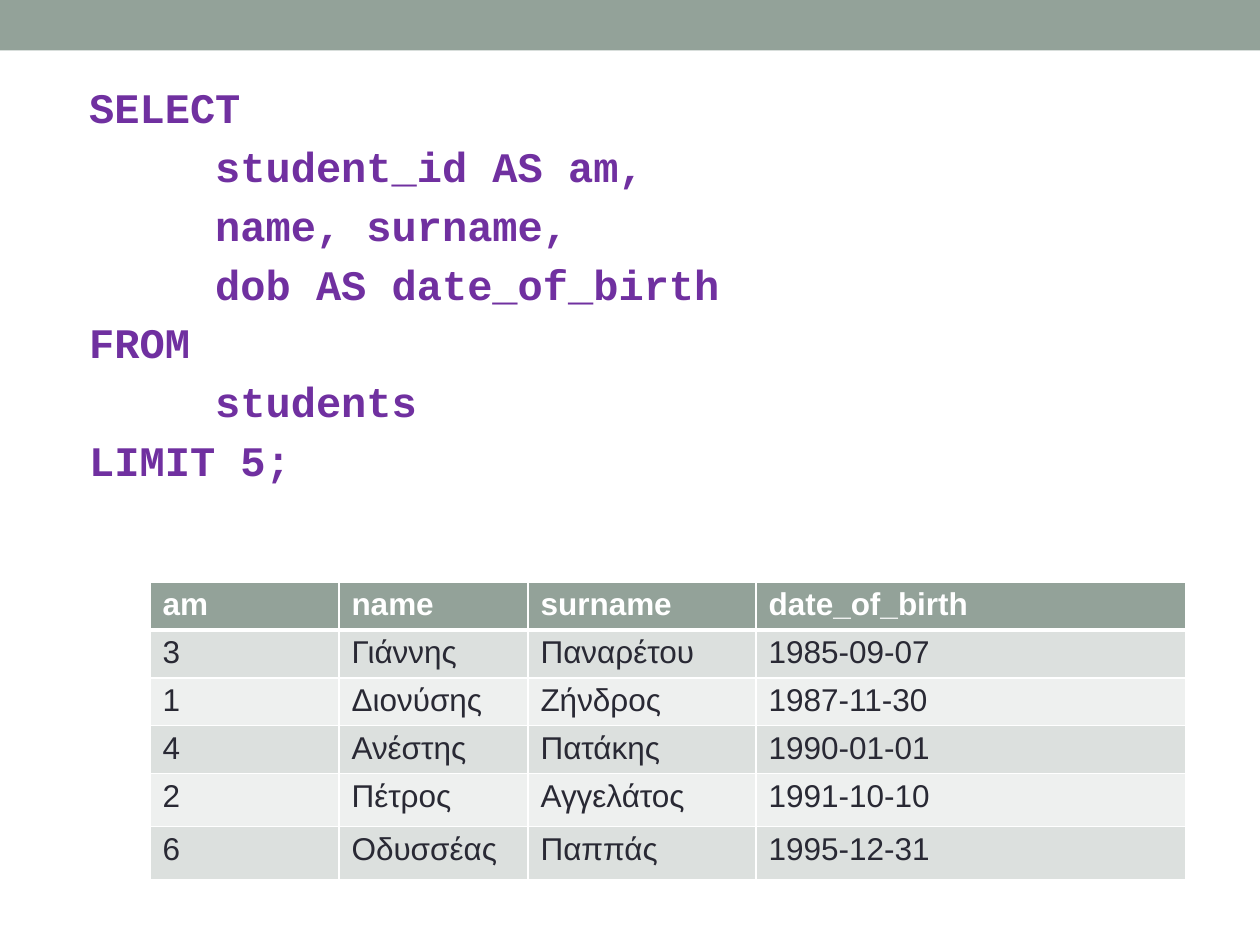
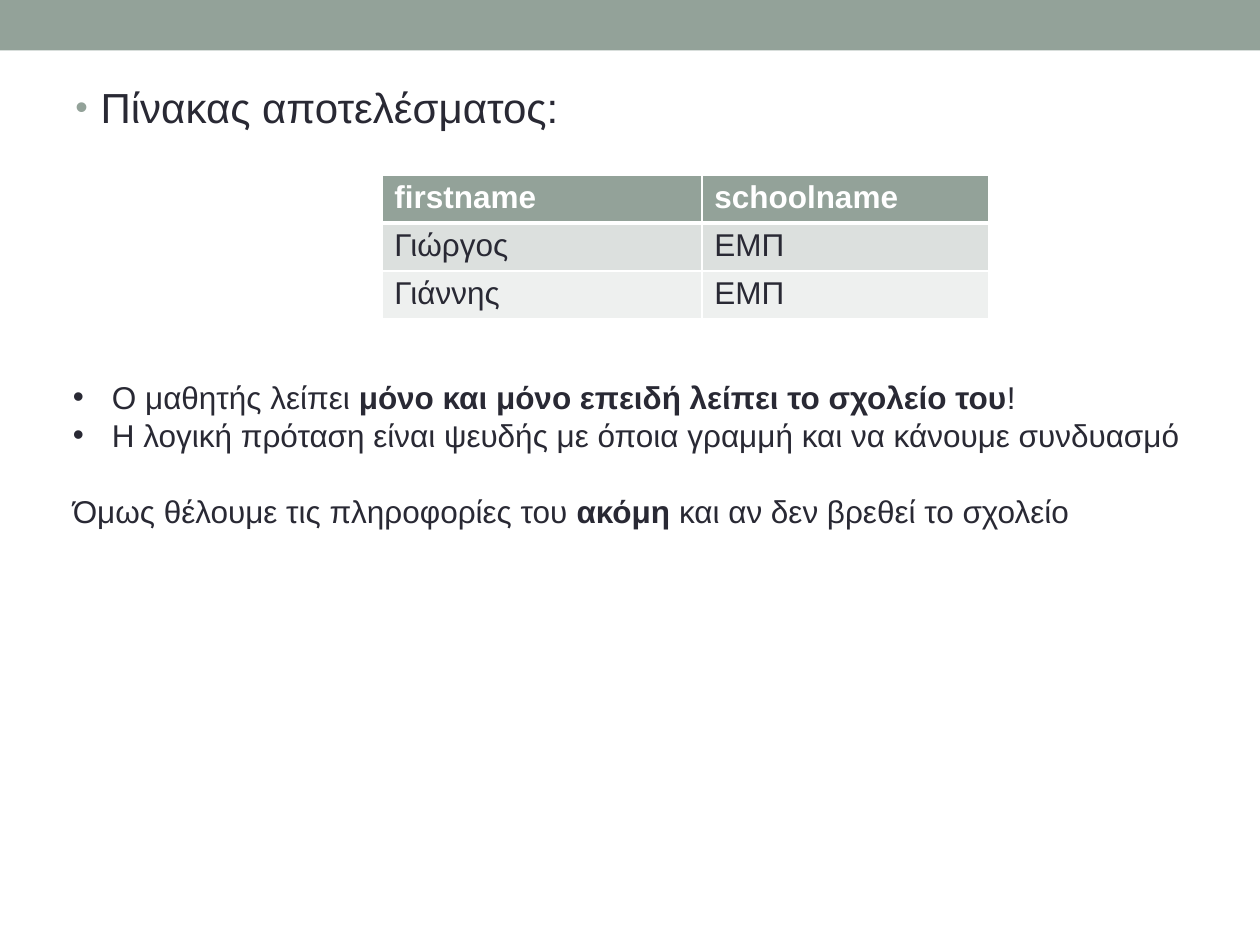
from lxml.etree import SubElement
from pptx import Presentation
from pptx.dml.color import RGBColor
from pptx.enum.shapes import MSO_SHAPE
from pptx.oxml.ns import qn
from pptx.util import Inches, Pt

SAGE = RGBColor(0x93, 0xA2, 0x99)
INK = RGBColor(0x29, 0x29, 0x34)
PURPLE = RGBColor(0x70, 0x30, 0xA0)
WHITE = RGBColor(0xFF, 0xFF, 0xFF)
ROW_FILLS = [RGBColor(0xDC, 0xE0, 0xDE), RGBColor(0xEE, 0xF0, 0xEF)]
SANS, MONO = "Arial", "Courier New"
WIDTH, HEIGHT, BAND_HEIGHT = 10, 7.5, 0.4
BODY_TOP, CODE_TAB, CELL_INSET = 0.6, 1, 0.04

QUERY = [
    "SELECT",
    "\tstudent_id AS am,",
    "\tname, surname,",
    "\tdob AS date_of_birth",
    "FROM",
    "\tstudents",
    "LIMIT 5;",
]
STUDENTS = [
    ("am", "name", "surname", "date_of_birth"),
    ("3", "Γιάννης", "Παναρέτου", "1985-09-07"),
    ("1", "Διονύσης", "Ζήνδρος", "1987-11-30"),
    ("4", "Ανέστης", "Πατάκης", "1990-01-01"),
    ("2", "Πέτρος", "Αγγελάτος", "1991-10-10"),
    ("6", "Οδυσσέας", "Παππάς", "1995-12-31"),
]
RESULT_HEADING = "Πίνακας αποτελέσματος:"
RESULT = [
    ("firstname", "schoolname"),
    ("Γιώργος", "ΕΜΠ"),
    ("Γιάννης", "ΕΜΠ"),
]
REMARKS = [
    [("Ο μαθητής λείπει ", False),
     ("μόνο και μόνο επειδή λείπει το σχολείο του", True), ("!", False)],
    [("Η λογική πρόταση είναι ψευδής με όποια γραμμή και να κάνουμε συνδυασμό", False)],
]
CONCLUSION = [
    ("Όμως θέλουμε τις πληροφορίες του ", False), ("ακόμη", True),
    (" και αν δεν βρεθεί το σχολείο", False),
]


def add_page(deck):
    page = deck.slides.add_slide(deck.slide_layouts[6])
    band = page.shapes.add_shape(
        MSO_SHAPE.RECTANGLE, 0, 0, Inches(WIDTH), Inches(BAND_HEIGHT))
    band.shadow.inherit = False
    band.fill.solid()
    band.fill.fore_color.rgb = SAGE
    band.line.fill.background()
    return page


def add_box(page, left, top, width, height):
    box = page.shapes.add_textbox(*map(Inches, (left, top, width, height)))
    box.text_frame.word_wrap = True
    return box.text_frame


def add_bullet(para, indent, color=None, percent=100):
    properties = para._p.get_or_add_pPr()
    properties.set("marL", str(Inches(indent)))
    properties.set("indent", str(-Inches(indent)))
    if color is not None:
        shade = SubElement(properties, qn("a:buClr"))
        SubElement(shade, qn("a:srgbClr"), val=str(color))
    SubElement(properties, qn("a:buSzPct"), val=str(percent * 1000))
    SubElement(properties, qn("a:buFont"), typeface=SANS)
    SubElement(properties, qn("a:buChar"), char="•")


def add_tab(para, position):
    stops = SubElement(para._p.get_or_add_pPr(), qn("a:tabLst"))
    SubElement(stops, qn("a:tab"), pos=str(Inches(position)), algn="l")


def add_spans(para, spans, size=18, color=INK, font=SANS):
    for text, bold in spans:
        span = para.add_run()
        span.text = text
        span.font.name = font
        span.font.size = Pt(size)
        span.font.bold = bold
        span.font.color.rgb = color


def next_para(frame, index):
    return frame.add_paragraph() if index else frame.paragraphs[0]


def add_border(cell, side, points):
    line = SubElement(cell._tc.get_or_add_tcPr(), qn("a:" + side), w=str(Pt(points)))
    SubElement(SubElement(line, qn("a:solidFill")), qn("a:srgbClr"), val=str(WHITE))


def add_grid(page, rows, left, top, widths, heights):
    frame = page.shapes.add_table(
        len(rows), len(widths),
        *map(Inches, (left, top, sum(widths), sum(heights))))
    grid = frame.table
    for column, width in zip(grid.columns, widths):
        column.width = Inches(width)
    for r, (values, height) in enumerate(zip(rows, heights)):
        grid.rows[r].height = Inches(height)
        header = r == 0
        for c, value in enumerate(values):
            cell = grid.cell(r, c)
            cell.margin_top = cell.margin_bottom = Inches(CELL_INSET)
            for side in ("lnL", "lnR", "lnT", "lnB"):
                thick = (header and side == "lnB") or (r == 1 and side == "lnT")
                add_border(cell, side, 3 if thick else 1)
            cell.fill.solid()
            cell.fill.fore_color.rgb = SAGE if header else ROW_FILLS[(r - 1) % 2]
            add_spans(cell.text_frame.paragraphs[0], [(value, header)],
                      color=WHITE if header else INK)


def build_query_page(deck):
    page = add_page(deck)
    frame = add_box(page, 0.61, BODY_TOP, 9, 3.46)
    for index, line in enumerate(QUERY):
        para = next_para(frame, index)
        if index:
            para.space_before = Pt(4.8)
        add_tab(para, CODE_TAB)
        add_spans(para, [(line, True)], 24, PURPLE, MONO)
    add_grid(page, STUDENTS, 1.19, 4.62, [1.5, 1.5, 1.81, 3.41],
             [0.38] * 4 + [0.42] * 2)


def build_result_page(deck):
    page = add_page(deck)
    heading = add_box(page, 0.5, BODY_TOP, 9, 0.55).paragraphs[0]
    add_bullet(heading, 0.2, SAGE, 85)
    add_spans(heading, [(RESULT_HEADING, False)], 24)
    add_grid(page, RESULT, 3.03, 1.39, [2.54, 2.28], [0.38] * 3)
    frame = add_box(page, 0.48, 2.95, 9.21, 1.31)
    for index, spans in enumerate(REMARKS):
        para = next_para(frame, index)
        add_bullet(para, 0.31)
        add_spans(para, spans)
    conclusion = frame.add_paragraph()
    conclusion.space_before = Pt(22)
    add_spans(conclusion, CONCLUSION)


def main():
    deck = Presentation()
    deck.slide_width, deck.slide_height = Inches(WIDTH), Inches(HEIGHT)
    build_query_page(deck)
    build_result_page(deck)
    deck.save("out.pptx")


if __name__ == "__main__":
    main()
